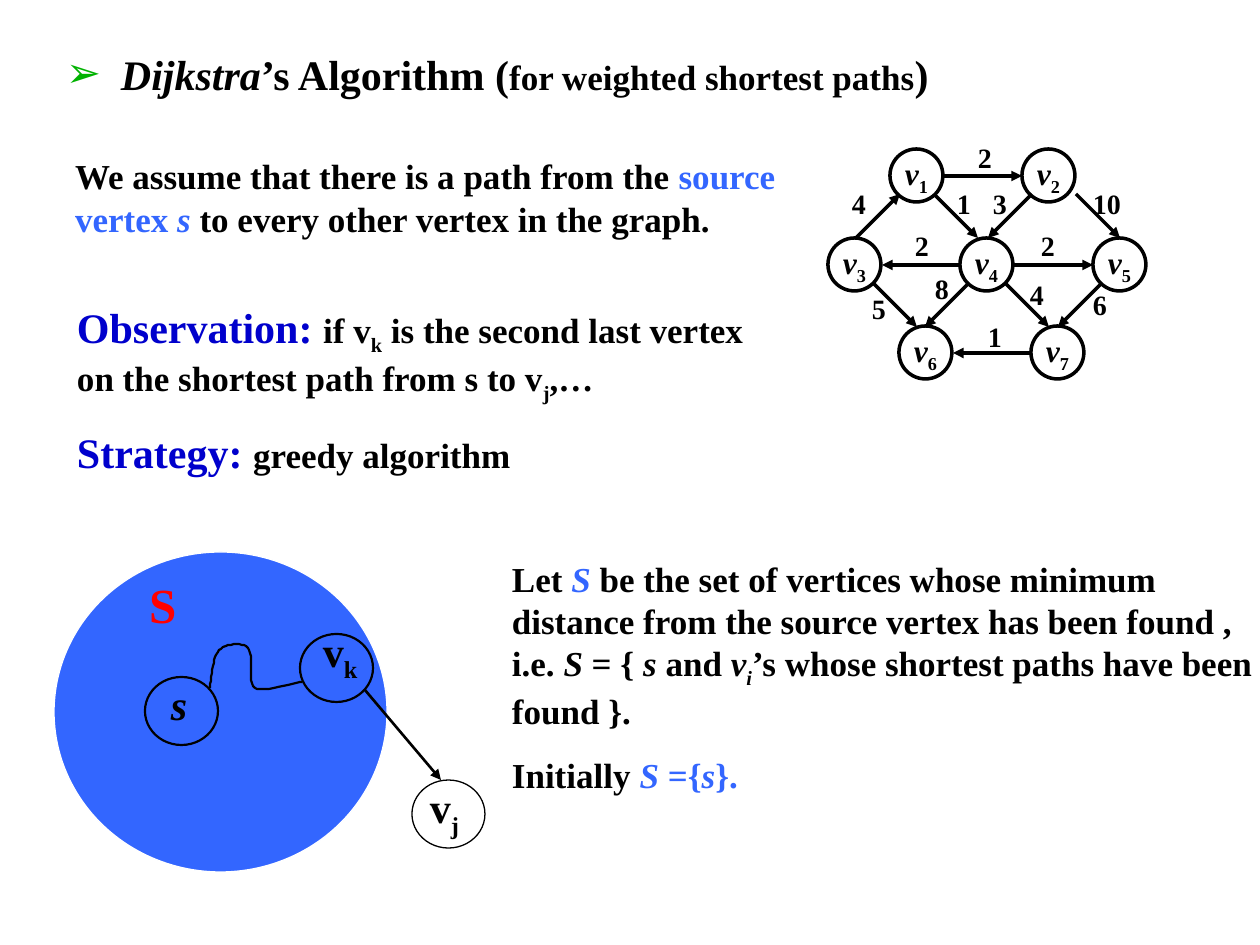
from pptx import Presentation
from pptx.dml.color import RGBColor
from pptx.enum.shapes import MSO_CONNECTOR, MSO_SHAPE
from pptx.enum.text import MSO_ANCHOR, MSO_AUTO_SIZE, PP_ALIGN
from pptx.oxml.ns import qn
from pptx.util import Pt
from lxml.etree import SubElement

PX = 914400 // 126
hue = RGBColor.from_string
BLACK, BLUE, NAVY, RED, GREEN = "000000", "3366FF", "0000CC", "FF0000", "00B200"


def write(frame, rows, pad=True, gap=12.5, line=None):
    frame.word_wrap = True
    frame.auto_size = MSO_AUTO_SIZE.NONE
    frame.vertical_anchor = MSO_ANCHOR.TOP
    frame.margin_left = frame.margin_right = 13 * PX if pad else 0
    frame.margin_top = frame.margin_bottom = 6 * PX if pad else 0
    for i, row in enumerate(rows):
        para = frame.add_paragraph() if i else frame.paragraphs[0]
        para.alignment = PP_ALIGN.LEFT
        para.space_before = Pt(gap if i else 0)
        if line:
            para.line_spacing = line
        for text, size, tint, style in row:
            run = para.add_run()
            run.text = text
            font = run.font
            font.name, font.size, font.bold = "Times New Roman", Pt(size), True
            font.italic = "i" in style
            font.color.rgb = hue(tint)
            if "_" in style:
                run._r.get_or_add_rPr().set("baseline", "-25000")


def arrow(group, start, end, width):
    link = group.shapes.add_connector(
        MSO_CONNECTOR.STRAIGHT, *[n * PX for n in (*start, *end)])
    link.line.color.rgb = hue(BLACK)
    link.line.width = Pt(width)
    SubElement(link.line._get_or_add_ln(), qn("a:tailEnd"), type="triangle")
    SubElement(link._element.spPr, qn("a:effectLst"))


deck = Presentation()
deck.slide_width, deck.slide_height = 1260 * PX, 945 * PX
slide = deck.slides.add_slide(deck.slide_layouts[5])

title = slide.shapes.title
title.left, title.top, title.width, title.height = [n * PX for n in (53, 42, 914, 63)]
props = title.text_frame.paragraphs[0]._p.get_or_add_pPr()
props.set("marL", str(55 * PX))
props.set("indent", str(-55 * PX))
SubElement(SubElement(props, qn("a:buClr")), qn("a:srgbClr"), val=GREEN)
SubElement(props, qn("a:buFont"), typeface="Arial")
SubElement(props, qn("a:buChar"), char="➢")
write(title.text_frame, [[
    ("Dijkstra", 24, BLACK, "i"),
    ("’s Algorithm (", 24, BLACK, ""),
    ("for weighted shortest paths", 20, BLACK, ""),
    (")", 24, BLACK, ""),
]])

notes = [
    ((62, 149, 727, 139), [[
        ("We assume that there is a path from the ", 20, BLACK, ""),
        ("source vertex ", 20, BLUE, ""),
        ("s", 20, BLUE, "i"),
        (" to every other vertex in the graph.", 20, BLACK, ""),
    ]]),
    ((64, 296, 725, 188), [[
        ("Observation: ", 24, NAVY, ""),
        ("if v", 20, BLACK, ""),
        ("k", 20, BLACK, "_"),
        (" is the second last vertex on the shortest path from s to v", 20, BLACK, ""),
        ("j", 20, BLACK, "_"),
        (",…", 20, BLACK, ""),
    ], [
        ("Strategy: ", 24, NAVY, ""),
        ("greedy algorithm", 20, BLACK, ""),
    ]]),
    ((499, 552, 784, 315), [[
        ("Let ", 20, BLACK, ""),
        ("S ", 20, BLUE, "i"),
        ("be the set of vertices whose minimum distance from the source "
         "vertex has been found , i.e. ", 20, BLACK, ""),
        ("S", 20, BLACK, "i"),
        (" = { ", 20, BLACK, ""),
        ("s", 20, BLACK, "i"),
        (" and ", 20, BLACK, ""),
        ("v", 20, BLACK, "i"),
        ("i", 20, BLACK, "i_"),
        ("’s whose shortest paths have been found }.", 20, BLACK, ""),
    ], [
        ("Initially ", 20, BLACK, ""),
        ("S", 20, BLUE, "i"),
        (" ={", 20, BLUE, ""),
        ("s", 20, BLUE, "i"),
        ("}.", 20, BLUE, ""),
    ]]),
]
for place, rows in notes:
    box = slide.shapes.add_textbox(*[n * PX for n in place])
    write(box.text_frame, rows)

cloud = slide.shapes.add_group_shape()
rings = [
    ((412, 780, 73, 68), None, BLACK, 0.75),
    ((54, 552, 333, 320), BLUE, "FFFFFF", 0.75),
    ((300, 634, 73, 68), None, BLACK, 1.25),
    ((145, 677, 73, 68), None, BLACK, 1.25),
]
tags = [
    ((149, 578, 72, 64), [("S", 28, RED, "")]),
    ((171, 682, 59, 97), [("s", 24, BLACK, "i")]),
    ((323, 626, 49, 66), [("v", 24, BLACK, ""), ("k", 24, BLACK, "_")]),
    ((430, 782, 49, 66), [("v", 24, BLACK, ""), ("j", 24, BLACK, "_")]),
]
for place, fill, edge, width in rings:
    ring = cloud.shapes.add_shape(MSO_SHAPE.OVAL, *[n * PX for n in place])
    ring.shadow.inherit = False
    if fill:
        ring.fill.solid()
        ring.fill.fore_color.rgb = hue(fill)
    else:
        ring.fill.background()
    ring.line.color.rgb = hue(edge)
    ring.line.width = Pt(width)
for place, row in tags:
    box = cloud.shapes.add_textbox(*[n * PX for n in place])
    write(box.text_frame, [row], pad=False, line=0.96)

last = (210, 688)
bends = [
    ((212, 673), (213, 658), (219, 650)),
    ((226, 644), (242, 641), (248, 648)),
    ((255, 654), (246, 682), (255, 688)),
    ((263, 693), (294, 683), (302, 682)),
]
pen = cloud.shapes.build_freeform(*last, scale=PX)
for bend in bends:
    knots = list(zip(last, *bend))
    for step in range(1, 13):
        t = step / 12
        u = 1 - t
        spot = [a * u**3 + 3 * b * u * u * t + 3 * c * u * t * t + d * t**3
                for a, b, c, d in knots]
        pen.add_line_segments([spot], close=False)
    last = bend[-1]
curve = pen.convert_to_shape()
curve.shadow.inherit = False
curve.fill.background()
curve.line.color.rgb = hue(BLACK)
curve.line.width = Pt(1.25)
arrow(cloud, (365, 690), (441, 780), 1.5)

graph = slide.shapes.add_group_shape()
size, half = 53, 27
nodes = {}
for left, mid, names in [(917, 176, "12"), (855, 265, "345"), (926, 353, "67")]:
    for i, name in enumerate(names):
        x, y = nodes[name] = (left + round(132.5 * i), mid)
        ball = graph.shapes.add_shape(
            MSO_SHAPE.OVAL, (x - half) * PX, (y - half) * PX, size * PX, size * PX)
        ball.shadow.inherit = False
        ball.fill.background()
        ball.line.color.rgb = hue(BLACK)
        ball.line.width = Pt(2)
        frame = ball.text_frame
        write(frame, [[("v", 18, BLACK, "i"), (name, 18, BLACK, "_")]])
        frame.word_wrap = False
        frame.vertical_anchor = MSO_ANCHOR.MIDDLE
        frame.paragraphs[0].alignment = PP_ALIGN.CENTER

for a, b in ["12", "43", "45", "76"]:
    (x, y), (far, _) = nodes[a], nodes[b]
    side = half if far > x else -half
    arrow(graph, (x + side, y), (far - side, y), 2)

for a, shift, up in [("1", -17, True), ("1", 17, False), ("2", -17, False),
                     ("2", 27, False), ("3", 18, False), ("4", -18, False),
                     ("4", 18, False), ("5", -18, False)]:
    x, y = nodes[a]
    top = (x + shift, y + 18)
    low = (top[0] + (44 if shift > 0 else -44), y + 62)
    ends = (low, top) if up else (top, low)
    arrow(graph, *ends, 2)

costs = [("2", 965, 135), ("4", 839, 181), ("2", 902, 223), ("1", 944, 181),
         ("3", 980, 180), ("10", 1080, 181), ("2", 1028, 223), ("5", 859, 286),
         ("8", 922, 266), ("4", 1017, 272), ("6", 1080, 282), ("1", 975, 314)]
for cost, x, y in costs:
    box = graph.shapes.add_textbox(x * PX, y * PX, (21 * len(cost) + 21) * PX, 47 * PX)
    write(box.text_frame, [[(cost, 16, BLACK, "")]])

deck.save("out.pptx")
